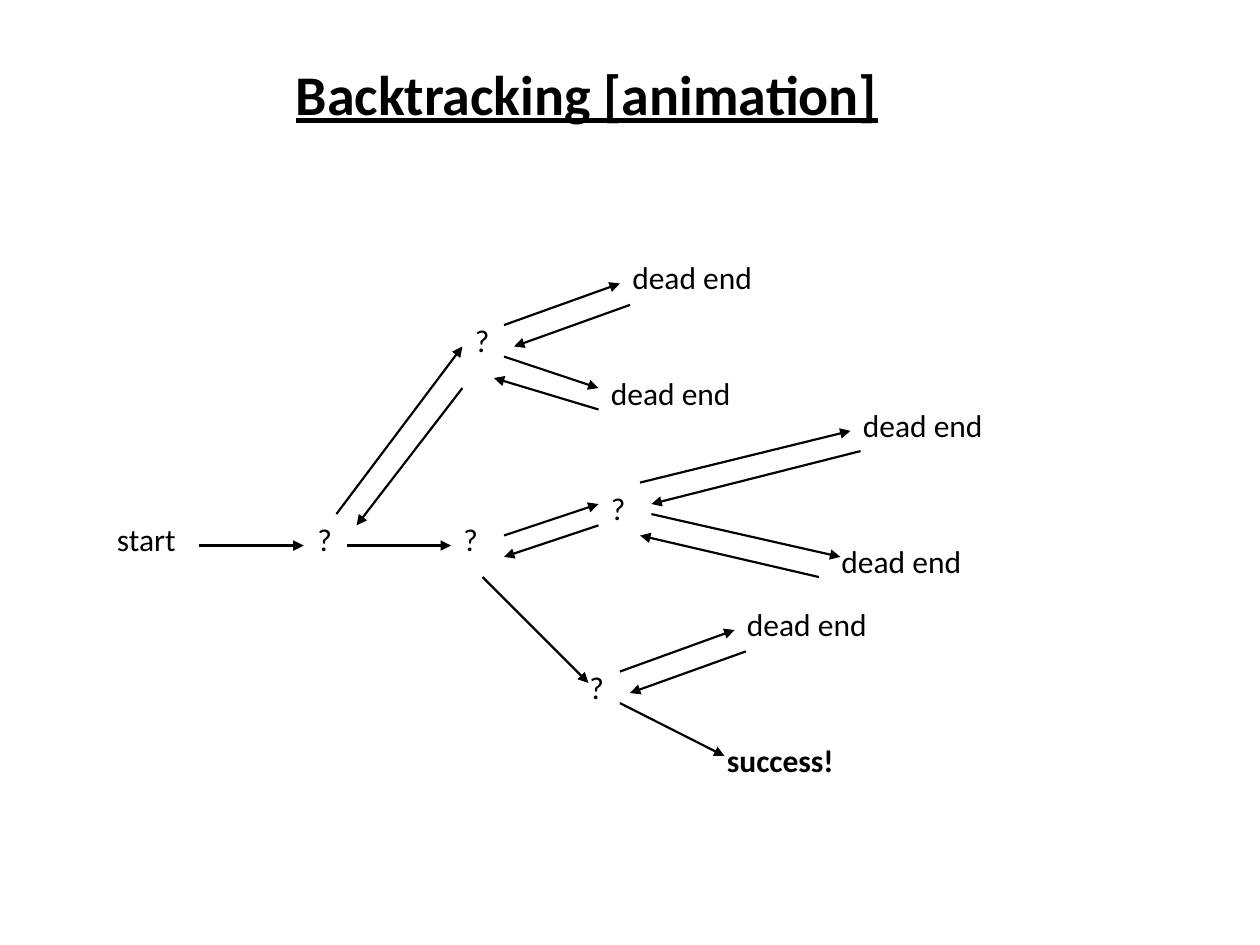
from lxml import etree
from pptx import Presentation
from pptx.dml.color import RGBColor
from pptx.enum import shapes, text
from pptx.oxml.ns import qn
from pptx.util import Inches, Pt

COLORS = {"ink": "000000", "paper": "FFFFFF"}
FONT = "Calibri"
TITLE = "Backtracking [animation]"

# Labels by wording: box width, then left and top of each box
LABELS = {
    "start": (0.83, [(0.83, 4.08)]),
    "?": (0.5, [(2.42, 4.08), (3.67, 2.5), (3.58, 4.08), (4.75, 3.83), (4.58, 5.25)]),
    "dead end": (1.75, [(4.92, 2), (4.75, 2.92), (6.75, 3.17), (6.58, 4.25), (5.83, 4.75)]),
    "success!": (1.75, [(5.67, 5.83)]),
}

# Arrows: x and y of the start, x and y of the tip
FORWARD = [
    (1.58, 4.33, 2.41, 4.33), (2.75, 4.33, 3.58, 4.33),
    (2.67, 4.08, 3.67, 2.75), (4, 2.58, 4.92, 2.25),
    (4, 2.83, 4.75, 3.08), (4, 4.25, 4.75, 4),
    (5.08, 3.83, 6.75, 3.42), (5.17, 4.08, 6.67, 4.42),
    (3.83, 4.58, 4.67, 5.42), (4.92, 5.33, 5.83, 5),
    (4.92, 5.58, 5.75, 6),
]
BACK = [
    (5, 2.42, 4.08, 2.75), (4.75, 3.25, 3.92, 3),
    (3.67, 3.08, 2.83, 4.17), (6.83, 3.58, 5.17, 4),
    (6.5, 4.58, 5.08, 4.25), (4.75, 4.17, 4, 4.42),
    (5.92, 5.17, 5, 5.5),
]


def color(name):
    return RGBColor.from_string(COLORS[name])


def write(slide, words, box, size=18, bold=False, line=False):
    shape = slide.shapes.add_textbox(*map(Inches, box))
    frame = shape.text_frame
    frame.word_wrap = True
    frame.vertical_anchor = text.MSO_ANCHOR.TOP
    frame.text = words
    font = frame.paragraphs[0].runs[0].font
    font.name, font.size = FONT, Pt(size)
    font.bold, font.underline = bold, line
    font.color.rgb = color("ink")


def arrow(slide, ends):
    link = slide.shapes.add_connector(
        shapes.MSO_CONNECTOR.STRAIGHT, *map(Inches, ends))
    link.line.color.rgb = color("ink")
    link.line.width = Pt(1.25)
    etree.SubElement(link.line._get_or_add_ln(), qn("a:tailEnd"), type="triangle")
    etree.SubElement(link._element.spPr, qn("a:effectLst"))


def main():
    deck = Presentation()
    deck.slide_width, deck.slide_height = Inches(10), Inches(7.5)
    slide = deck.slides.add_slide(deck.slide_layouts[6])
    slide.background.fill.solid()
    slide.background.fill.fore_color.rgb = color("paper")

    # Title
    write(slide, TITLE, (2.25, 0.42, 5.83, 0.78), 32, True, True)

    # Search tree
    for words, (width, spots) in LABELS.items():
        for left, top in spots:
            write(slide, words, (left, top, width, 0.4), bold=words == "success!")
    for ends in FORWARD + BACK:
        arrow(slide, ends)

    deck.save("out.pptx")


if __name__ == "__main__":
    main()
